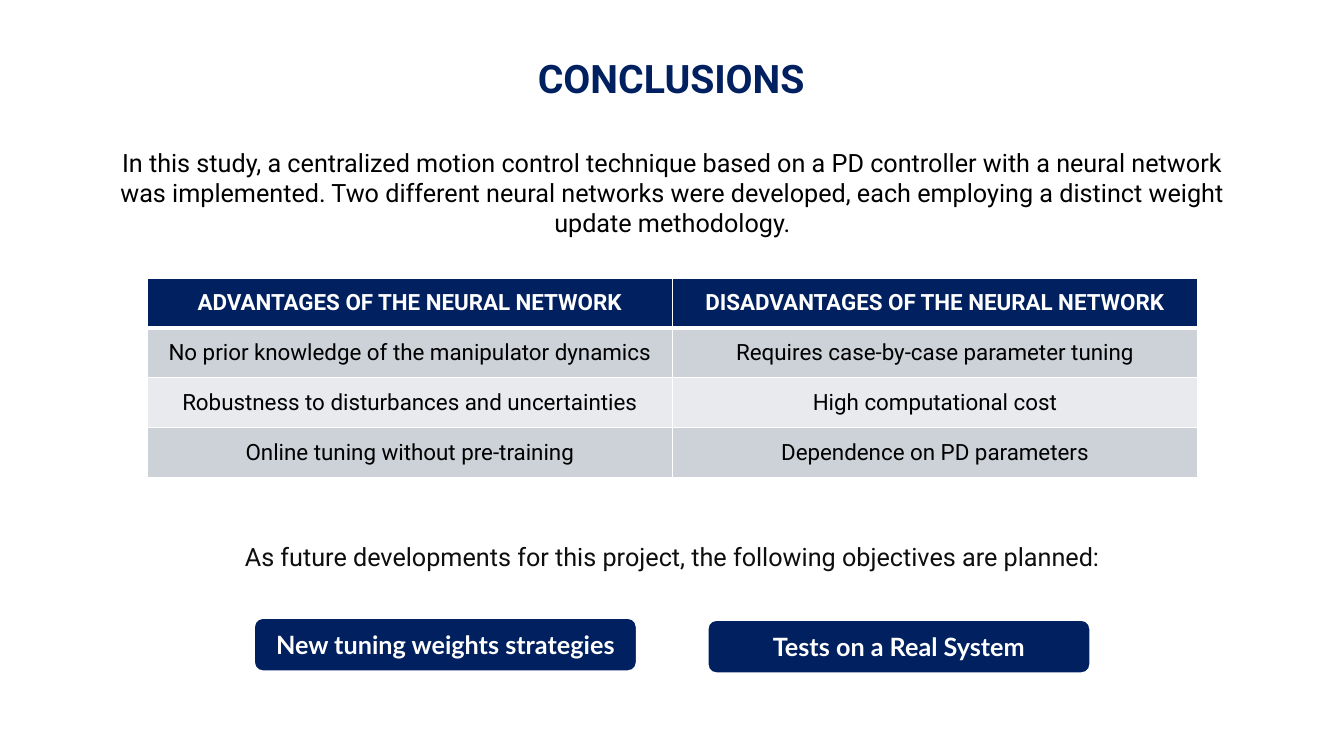
from lxml import etree
from pptx import Presentation
from pptx.dml.color import RGBColor
from pptx.enum.shapes import MSO_SHAPE
from pptx.enum.text import MSO_ANCHOR, PP_ALIGN
from pptx.oxml.ns import qn
from pptx.util import Cm, Pt

ROUND = MSO_SHAPE.ROUNDED_RECTANGLE
CENTER = PP_ALIGN.CENTER
MIDDLE = MSO_ANCHOR.MIDDLE

COLORS = {
    "navy": "002060",
    "white": "FFFFFF",
    "black": "000000",
    "ink": "0E0E0E",
    "dark": "CCD2D8",
    "light": "E8EAED",
}
ROWS = [
    ("ADVANTAGES OF THE NEURAL NETWORK", "DISADVANTAGES OF THE NEURAL NETWORK"),
    ("No prior knowledge of the manipulator dynamics", "Requires case-by-case parameter tuning"),
    ("Robustness to disturbances and uncertainties", "High computational cost"),
    ("Online tuning without pre-training", "Dependence on PD parameters"),
]
INTRO = (
    "In this study, a centralized motion control technique based on a PD controller "
    "with a neural network was implemented. Two different neural networks were developed, "
    "each employing a distinct weight update methodology."
)
FUTURE = "As future developments for this project, the following objectives are planned:"


def color(name):
    return RGBColor.from_string(COLORS[name])


def paint(item, name):
    item.fill.solid()
    item.fill.fore_color.rgb = color(name)


def write(frame, text, size, ink, bold=False, face="Roboto"):
    para = frame.paragraphs[0]
    para.alignment = CENTER
    run = para.add_run()
    run.text = text
    style = {"size": Pt(size), "bold": bold, "name": face}
    for key, value in style.items():
        setattr(run.font, key, value)
    run.font.color.rgb = color(ink)


def add_text(slide, box, text, size, ink, bold=False):
    frame = slide.shapes.add_textbox(*map(Cm, box)).text_frame
    frame.word_wrap = True
    write(frame, text, size, ink, bold)


def edge(cell, base):
    props = cell._tc.get_or_add_tcPr()
    widths = {"lnL": 1, "lnR": 1, "lnT": 1, "lnB": base}
    for spot, (tag, width) in enumerate(widths.items()):
        line = etree.Element(qn(f"a:{tag}"), w=str(Pt(width)))
        fill = etree.SubElement(line, qn("a:solidFill"))
        etree.SubElement(fill, qn("a:srgbClr"), val=COLORS["white"])
        props.insert(spot, line)


def add_grid(slide, box):
    table = slide.shapes.add_table(len(ROWS), 2, *map(Cm, box)).table
    for i, texts in enumerate(ROWS):
        head = i == 0
        table.rows[i].height = Cm(1.25 if head else 1.26)
        shade = "navy" if head else ("light", "dark")[i % 2]
        for j, text in enumerate(texts):
            cell = table.cell(i, j)
            cell.vertical_anchor = MIDDLE
            paint(cell, shade)
            edge(cell, 3 if head or i == 0 else 1)
            write(cell.text_frame, text, 16, "white" if head else "black", head)


def add_button(slide, left, top, text):
    shape = slide.shapes.add_shape(ROUND, Cm(left), Cm(top), Cm(9.65), Cm(1.35))
    shape.shadow.inherit = False
    paint(shape, "navy")
    shape.line.color.rgb = color("white")
    shape.line.width = Pt(1.5)
    frame = shape.text_frame
    frame.word_wrap = True
    frame.vertical_anchor = MIDDLE
    for side in ("left", "top", "right", "bottom"):
        setattr(frame, f"margin_{side}", Cm(0.18))
    write(frame, text, 18, "white", True, "Lato")


def main():
    deck = Presentation()
    deck.slide_width, deck.slide_height = Cm(33.87), Cm(19.05)
    slide = deck.slides.add_slide(deck.slide_layouts[6])
    add_text(slide, (9.78, 1.24, 14.27, 1.45), "CONCLUSIONS", 28, "navy", True)
    add_text(slide, (2.67, 3.58, 28.55, 2.57), INTRO, 18, "black")
    add_grid(slide, (3.71, 7.01, 26.47, 5.03))
    add_text(slide, (2.67, 13.51, 28.55, 1.02), FUTURE, 18, "ink")
    add_button(slide, 6.4, 15.57, "New tuning weights strategies")
    add_button(slide, 17.83, 15.62, "Tests on a Real System")
    deck.save("out.pptx")


if __name__ == "__main__":
    main()
